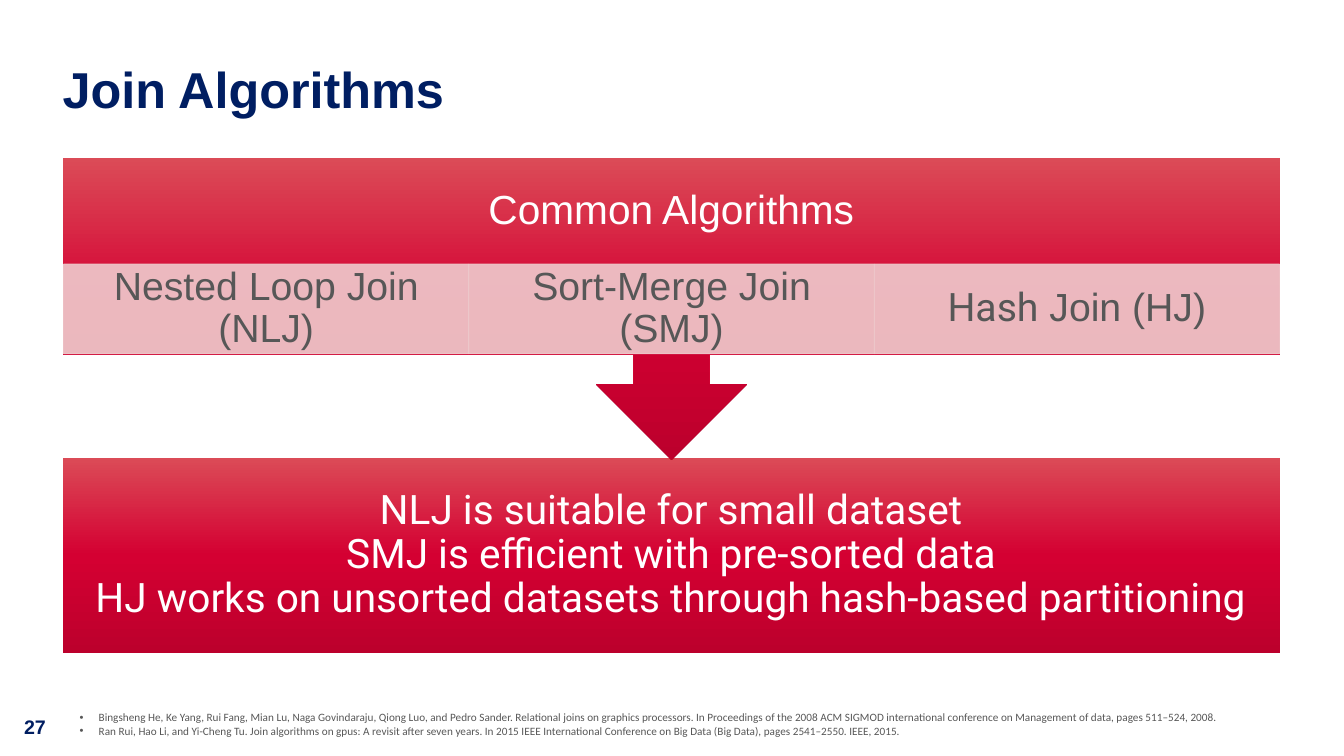
"""Build the Join Algorithms slide."""
from dataclasses import dataclass
from typing import Optional

from lxml.etree import SubElement
from pptx import Presentation
from pptx.dml.color import RGBColor
from pptx.enum.shapes import MSO_SHAPE as Preset
from pptx.enum.text import MSO_ANCHOR as Anchor, MSO_AUTO_SIZE as AutoSize, PP_ALIGN as Align
from pptx.oxml import parse_xml
from pptx.oxml.ns import nsdecls, qn
from pptx.util import Inches, Pt

COLORS = {
    "number": "001E61",
    "title": "001E62",
    "white": "FFFFFF",
    "gray": "575757",
    "pink": "EFCCCE",
    "red_top": "DB4B57",
    "red_middle": "D40032",
    "red_bottom": "BC002C",
}
LEFT, WIDTH = 0.62, 12.08
CELL_LEFT, CELL_WIDTH = 0.63, 4.02
REFERENCE_INDENT = 0.19


@dataclass
class Area:
    left: float
    top: float
    width: float
    height: float

    def lengths(self) -> list:
        return [Inches(v) for v in (self.left, self.top, self.width, self.height)]


@dataclass
class Style:
    size: float
    color: str
    font: str = "Arial"
    bold: bool = False
    align: Align = Align.LEFT
    anchor: Anchor = Anchor.TOP
    margins: tuple = (0.1, 0.05)
    spacing: Optional[float] = None
    grow: bool = False


@dataclass
class Cell:
    text: str
    roboto_start: str = ""


def centered(size: float, color: str, margins: tuple, font: str = "Arial") -> Style:
    return Style(size, color, font, align=Align.CENTER, anchor=Anchor.MIDDLE,
                 margins=margins, spacing=0.9)


NUMBER = Style(14, "number", bold=True, grow=True)
TITLE = Style(36, "title", bold=True, anchor=Anchor.MIDDLE, margins=(0, 0), spacing=0.9)
HEADING = centered(29, "white", (0.23, 0.23))
SUMMARY = centered(29, "white", (0.23, 0.23), "Roboto")
CELL = centered(28, "gray", (0.22, 0.04))
REFERENCE = Style(8, "gray", "Calibri", grow=True)

CELLS = [
    Cell("Nested Loop Join (NLJ)"),
    Cell("Sort-Merge Join (SMJ)"),
    Cell(" Join (HJ)", roboto_start="Hash"),
]
SUMMARY_LINES = [
    "NLJ is suitable for small dataset",
    "SMJ is efficient with pre-sorted data",
    "HJ works on unsorted datasets through hash-based partitioning",
]
REFERENCES = [
    "Bingsheng He, Ke Yang, Rui Fang, Mian Lu, Naga Govindaraju, Qiong Luo, and Pedro Sander. "
    "Relational joins on graphics processors. In Proceedings of the 2008 ACM SIGMOD international "
    "conference on Management of data, pages 511–524, 2008.",
    "Ran Rui, Hao Li, and Yi-Cheng Tu. Join algorithms on gpus: A revisit after seven years. "
    "In 2015 IEEE International Conference on Big Data (Big Data), pages 2541–2550. IEEE, 2015.",
]


def rgb(name: str) -> RGBColor:
    return RGBColor.from_string(COLORS[name])


def format_span(span, style: Style, font: str) -> None:
    span.font.name = font
    span.font.size = Pt(style.size)
    span.font.bold = style.bold
    span.font.color.rgb = rgb(style.color)


def write(shape, text: str, style: Style) -> None:
    frame = shape.text_frame
    frame.text = text
    frame.word_wrap = True
    frame.auto_size = AutoSize.SHAPE_TO_FIT_TEXT if style.grow else AutoSize.NONE
    frame.vertical_anchor = style.anchor
    side, edge = style.margins
    frame.margin_left = frame.margin_right = Inches(side)
    frame.margin_top = frame.margin_bottom = Inches(edge)
    for para in frame.paragraphs:
        para.alignment = style.align
        para.line_spacing = style.spacing
        for span in para.runs:
            format_span(span, style, style.font)


def add_text(page, area: Area, text: str, style: Style):
    box = page.shapes.add_textbox(*area.lengths())
    write(box, text, style)
    return box


def add_red_shape(page, preset: Preset, area: Area):
    shape = page.shapes.add_shape(preset, *area.lengths())
    shape.shadow.inherit = False
    shape.line.fill.background()
    stops = "".join(
        f'<a:gs pos="{position}"><a:srgbClr val="{COLORS[name]}"/></a:gs>'
        for position, name in ((0, "red_top"), (50000, "red_middle"), (100000, "red_bottom"))
    )
    gradient = parse_xml(
        f'<a:gradFill {nsdecls("a")} rotWithShape="0"><a:gsLst>{stops}</a:gsLst>'
        '<a:lin ang="5400000" scaled="0"/></a:gradFill>'
    )
    shape.element.spPr.find(qn("a:prstGeom")).addnext(gradient)
    return shape


def add_cell(page, index: int, cell: Cell) -> None:
    area = Area(CELL_LEFT + index * CELL_WIDTH, 2.62, CELL_WIDTH, 0.89)
    box = page.shapes.add_shape(Preset.RECTANGLE, *area.lengths())
    box.shadow.inherit = False
    box.fill.solid()
    box.fill.fore_color.rgb = rgb("pink")
    box.line.color.rgb = rgb("pink")
    box.line.width = Pt(0.5)
    for color in box.element.spPr.iter(qn("a:srgbClr")):
        SubElement(color, qn("a:alpha")).set("val", "90000")
    write(box, cell.roboto_start or cell.text, CELL)
    if cell.roboto_start:
        para = box.text_frame.paragraphs[0]
        format_span(para.runs[0], CELL, "Roboto")
        span = para.add_run()
        span.text = cell.text
        format_span(span, CELL, CELL.font)


def add_references(page) -> None:
    box = add_text(page, Area(0.69, 7, 11.85, 0.37), "\n".join(REFERENCES), REFERENCE)
    for para in box.text_frame.paragraphs:
        properties = para._p.get_or_add_pPr()
        properties.set("marL", str(Inches(REFERENCE_INDENT)))
        properties.set("indent", str(-Inches(REFERENCE_INDENT)))
        SubElement(properties, qn("a:buFont")).set("typeface", "Arial")
        SubElement(properties, qn("a:buChar")).set("char", "•")


def main() -> None:
    deck = Presentation()
    deck.slide_width, deck.slide_height = Inches(13.33), Inches(7.5)
    page = deck.slides.add_slide(deck.slide_layouts[6])

    add_text(page, Area(0.14, 7.04, 0.66, 0.34), "27", NUMBER)
    add_text(page, Area(LEFT, 0.47, WIDTH, 0.89), "Join Algorithms", TITLE)

    summary = add_red_shape(page, Preset.RECTANGLE, Area(LEFT, 4.54, WIDTH, 1.94))
    write(summary, "\v".join(SUMMARY_LINES), SUMMARY)

    callout = add_red_shape(page, Preset.UP_ARROW_CALLOUT, Area(LEFT, 1.57, WIDTH, 2.99))
    callout.rotation = 180
    add_text(page, Area(LEFT, 1.57, WIDTH, 1.05), "Common Algorithms", HEADING)
    for index, cell in enumerate(CELLS):
        add_cell(page, index, cell)

    add_references(page)
    deck.save("out.pptx")


if __name__ == "__main__":
    main()
